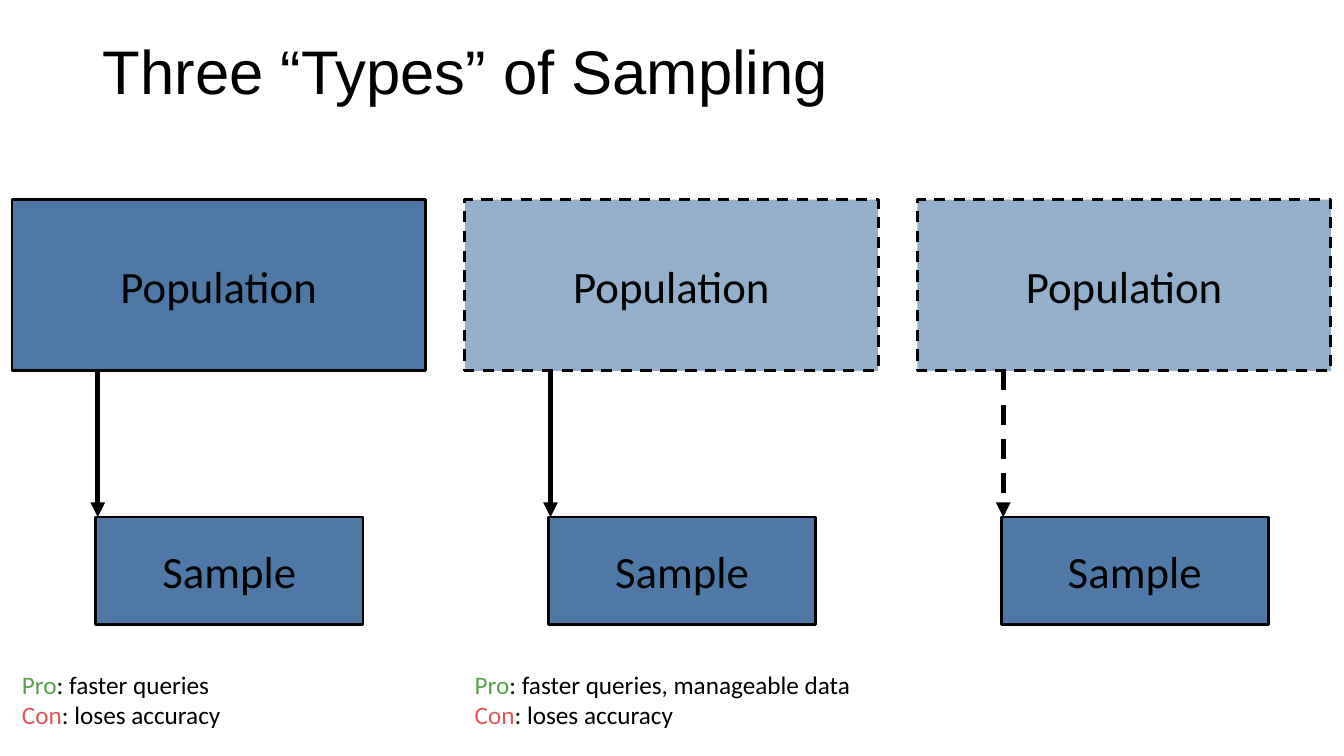
from pptx import Presentation
from pptx.dml.color import RGBColor
from pptx.enum.dml import MSO_LINE
from pptx.enum.shapes import MSO_CONNECTOR, MSO_SHAPE
from pptx.enum.text import MSO_ANCHOR, PP_ALIGN
from pptx.oxml.ns import qn
from pptx.util import Inches, Pt
from lxml import etree

DASH = MSO_LINE.DASH
RECTANGLE = MSO_SHAPE.RECTANGLE
STRAIGHT = MSO_CONNECTOR.STRAIGHT
MIDDLE = MSO_ANCHOR.MIDDLE
CENTER = PP_ALIGN.CENTER

# Content
TITLE = "Three “Types” of Sampling"
CON = ("Con", ": loses accuracy", "con")
SAMPLING_TYPES = [
    {"virtual_population": False, "virtual_sampling": False,
     "notes": [("Pro", ": faster queries", "pro"), CON]},
    {"virtual_population": True, "virtual_sampling": False,
     "notes": [("Pro", ": faster queries, manageable data", "pro"), CON]},
    {"virtual_population": True, "virtual_sampling": True, "notes": []},
]
COLORS = {"ink": "000000", "solid": "4E79A7", "faded": "93AFCC",
          "pro": "5AA14E", "con": "E15759"}

# Layout, in inches
COLUMN_LEFT, COLUMN_STEP, COLUMN_WIDTH = 0.12, 4.49, 4.1
POPULATION_TOP, POPULATION_HEIGHT = 1.98, 1.7
SAMPLE_INDENT, SAMPLE_TOP, SAMPLE_WIDTH, SAMPLE_HEIGHT = 0.83, 5.13, 2.65, 1.07
ARROW_INDENT = 0.85
NOTES_TOP, NOTES_HEIGHT = 6.59, 0.71


def color(name):
    return RGBColor.from_string(COLORS[name])


def style_font(font, size, name, color_name="ink"):
    font.size = Pt(size)
    font.name = name
    font.color.rgb = color(color_name)


def style_line(line, width, dashed):
    line.color.rgb = color("ink")
    line.width = Pt(width)
    if dashed:
        line.dash_style = DASH


def add_box(page, label, left, top, width, height, fill="solid", dashed=False):
    box = page.shapes.add_shape(RECTANGLE, Inches(left), Inches(top),
                                Inches(width), Inches(height))
    box.shadow.inherit = False
    box.fill.solid()
    box.fill.fore_color.rgb = color(fill)
    style_line(box.line, 2, dashed)
    box.text_frame.text = label
    box.text_frame.vertical_anchor = MIDDLE
    para = box.text_frame.paragraphs[0]
    para.alignment = CENTER
    style_font(para.runs[0].font, 32, "Calibri")


def add_arrow(page, x, top, bottom, dashed):
    arrow = page.shapes.add_connector(STRAIGHT, Inches(x), Inches(top),
                                      Inches(x), Inches(bottom))
    style_line(arrow.line, 3.5, dashed)
    properties = arrow.element.spPr
    etree.SubElement(properties.find(qn("a:ln")), qn("a:tailEnd"), type="triangle")
    etree.SubElement(properties, qn("a:effectLst"))


def add_text_box(page, left, top, width, height):
    box = page.shapes.add_textbox(Inches(left), Inches(top),
                                  Inches(width), Inches(height))
    box.text_frame.word_wrap = True
    return box.text_frame


def add_notes(page, notes, left):
    frame = add_text_box(page, left, NOTES_TOP, COLUMN_WIDTH, NOTES_HEIGHT)
    for index, (word, detail, word_color) in enumerate(notes):
        para = frame.add_paragraph() if index else frame.paragraphs[0]
        for text, color_name in ((word, word_color), (detail, "ink")):
            span = para.add_run()
            span.text = text
            style_font(span.font, 18, "Calibri", color_name)


def main():
    deck = Presentation()
    deck.slide_width, deck.slide_height = Inches(13.33), Inches(7.5)
    page = deck.slides.add_slide(deck.slide_layouts[6])

    # Title
    frame = add_text_box(page, 0.92, 0.01, 11.5, 1.45)
    frame.text = TITLE
    frame.vertical_anchor = MIDDLE
    frame.paragraphs[0].line_spacing = 0.9
    style_font(frame.paragraphs[0].runs[0].font, 44, "Arial")

    # One column per sampling type
    for index, kind in enumerate(SAMPLING_TYPES):
        left = COLUMN_LEFT + index * COLUMN_STEP
        virtual = kind["virtual_population"]
        add_box(page, "Population", left, POPULATION_TOP, COLUMN_WIDTH,
                POPULATION_HEIGHT, "faded" if virtual else "solid", virtual)
        add_box(page, "Sample", left + SAMPLE_INDENT, SAMPLE_TOP,
                SAMPLE_WIDTH, SAMPLE_HEIGHT)
        add_arrow(page, left + ARROW_INDENT, POPULATION_TOP + POPULATION_HEIGHT,
                  SAMPLE_TOP, kind["virtual_sampling"])
        if kind["notes"]:
            add_notes(page, kind["notes"], left)

    deck.save("out.pptx")


if __name__ == "__main__":
    main()
